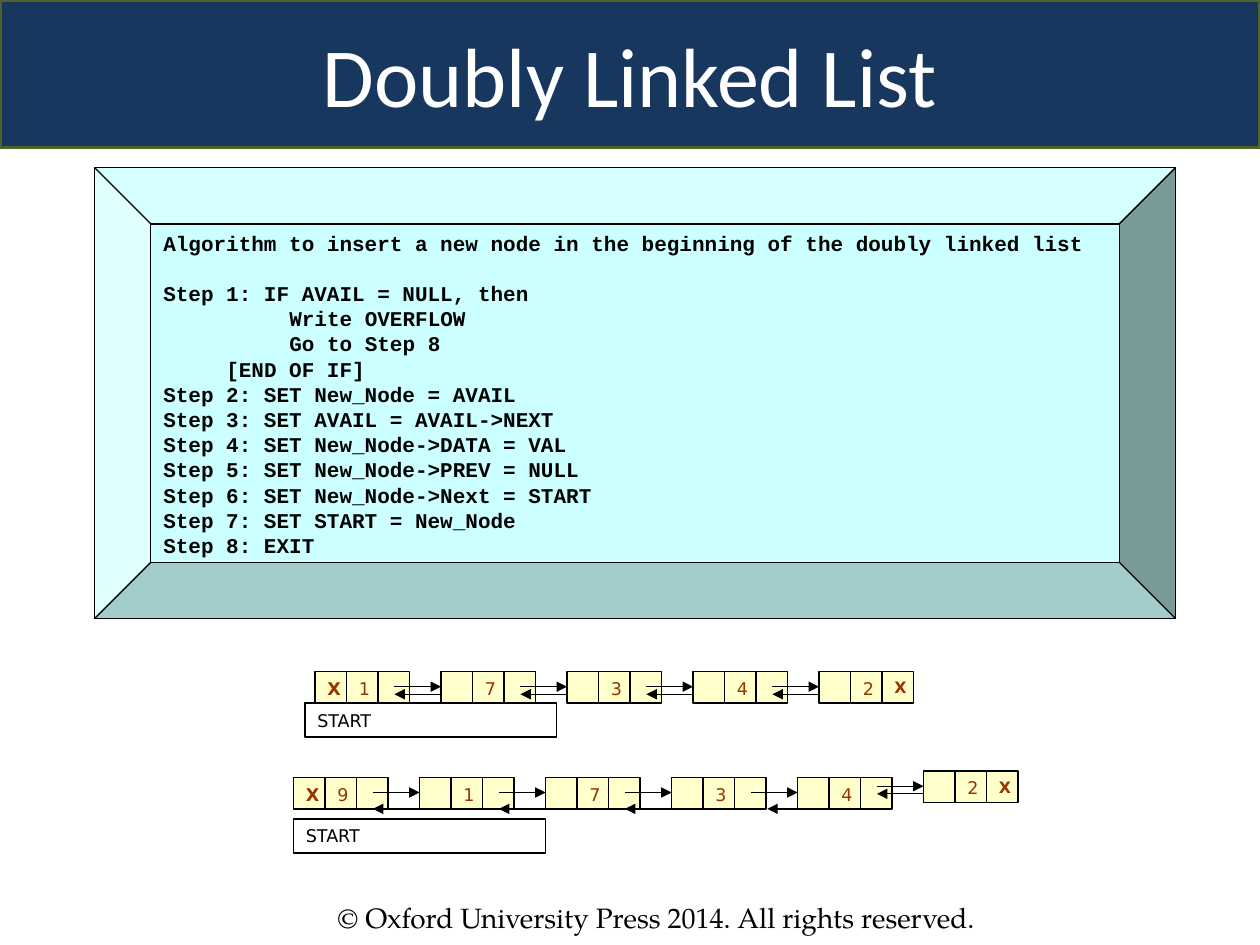
"""Build a slide on inserting a node at the start of a doubly linked list."""
from lxml import etree
from pptx import Presentation
from pptx import util as u
from pptx.dml.color import RGBColor
from pptx.enum import shapes, text
from pptx.oxml import ns

Inches, Pt = u.Inches, u.Pt
hex_color = RGBColor.from_string


def paint(shape, fill, line="000000", width=0.75):
    shape.shadow.inherit = False
    if fill:
        shape.fill.solid()
        shape.fill.fore_color.rgb = hex_color(fill)
    else:
        shape.fill.background()
    shape.line.color.rgb = hex_color(line)
    shape.line.width = Pt(width)


def write(shape, lines, color, font, anchor=text.MSO_ANCHOR.TOP, align=text.PP_ALIGN.LEFT):
    frame = shape.text_frame
    settings = {
        "word_wrap": True, "auto_size": text.MSO_AUTO_SIZE.NONE, "vertical_anchor": anchor,
        "margin_left": Inches(0.1), "margin_right": Inches(0.1),
        "margin_top": Inches(0.05), "margin_bottom": Inches(0.05),
    }
    for name, value in settings.items():
        setattr(frame, name, value)
    frame.text = "\n".join(lines)
    for para in frame.paragraphs:
        para.alignment = align
        for span in para.runs:
            span.font.color.rgb = hex_color(color)
            for name, value in font.items():
                setattr(span.font, name, value)


deck = Presentation()
deck.slide_width, deck.slide_height = Inches(10), Inches(7.5)
page = deck.slides.add_slide(deck.slide_layouts[5])

title = page.shapes.title
title.left, title.top, title.width, title.height = Inches(0), Inches(0), Inches(10), Inches(1.17)
paint(title, "17375E", "4F6228", 2)
write(title, ["Doubly Linked List"], "FFFFFF", {"size": Pt(48), "name": "Calibri"},
      text.MSO_ANCHOR.MIDDLE, text.PP_ALIGN.CENTER)

footer = page.shapes.add_textbox(Inches(2.58), Inches(7.1), Inches(5.92), Inches(0.37))
write(footer, ["© Oxford University Press 2014. All rights reserved."], "000000",
      {"size": Pt(16), "name": "TeX Gyre Pagella"})

algorithm = [
    "Algorithm to insert a new node in the beginning of the doubly linked list",
    "Step 1: IF AVAIL = NULL, then",
    "\t\tWrite OVERFLOW",
    "\t\tGo to Step 8",
    "\t[END OF IF]",
    "Step 2: SET New_Node = AVAIL",
    "Step 3: SET AVAIL = AVAIL->NEXT",
    "Step 4: SET New_Node->DATA = VAL",
    "Step 5: SET New_Node->PREV = NULL",
    "Step 6: SET New_Node->Next = START",
    "Step 7: SET START = New_Node",
    "Step 8: EXIT",
]
panel = page.shapes.add_shape(shapes.MSO_SHAPE.BEVEL, Inches(0.75), Inches(1.33),
                              Inches(8.58), Inches(3.58))
paint(panel, "CCFFFF")
write(panel, algorithm, "000000", {"size": Pt(12), "name": "Courier New", "bold": True})
panel.text_frame.paragraphs[1].space_before = Pt(14.4)

CELL = 0.25
before = [("1", 5.33, 0, 0), ("7", 5.33, 0.18, 0), ("3", 5.33, 0.18, 0),
          ("4", 5.33, 0.18, 0), ("2", 5.33, 0.18, 0)]
after = [("9", 6.17, 0, 0), ("1", 6.17, 0.25, 0), ("7", 6.17, 0.25, 0),
         ("3", 6.17, 0.25, 0), ("4", 6.17, 0.25, 0.13), ("2", 6.12, 0.18, 0)]

for start, nodes in ((2.5, before), (2.33, after)):
    group = page.shapes.add_group_shape()
    last = len(nodes) - 1
    arrows = []
    for index, (value, top, back_drop, back_shift) in enumerate(nodes):
        left = start + index
        labels = ["X" if index == 0 else "", value, "X" if index == last else ""]
        for column, label in enumerate(labels):
            cell = group.shapes.add_shape(shapes.MSO_SHAPE.RECTANGLE, Inches(left + column * CELL),
                                          Inches(top), Inches(CELL), Inches(CELL))
            paint(cell, "FFFFCC")
            if label:
                write(cell, [label], "993300", {"size": Pt(9 if column == 2 else 10),
                                                "name": "DejaVu Sans", "bold": label == "X"})
        if index:
            back = left + back_shift
            arrows.append((left - 0.37, left, top + 0.12))
            arrows.append((back, back - 0.37, top + back_drop))
    for begin, end, level in arrows:
        arrow = group.shapes.add_connector(shapes.MSO_CONNECTOR.STRAIGHT, Inches(begin),
                                           Inches(level), Inches(end), Inches(level))
        arrow.line.color.rgb = hex_color("000000")
        arrow.line.width = Pt(0.75)
        etree.SubElement(arrow.line._get_or_add_ln(), ns.qn("a:tailEnd"), type="triangle")
        etree.SubElement(arrow._element.spPr, ns.qn("a:effectLst"))

for left, top in ((2.42, 5.58), (2.33, 6.5)):
    pointer = page.shapes.add_shape(shapes.MSO_SHAPE.RECTANGLE, Inches(left), Inches(top),
                                    Inches(2), Inches(0.27))
    paint(pointer, None)
    write(pointer, ["START"], "000000", {"size": Pt(10), "name": "DejaVu Sans"},
          text.MSO_ANCHOR.MIDDLE)

deck.save("out.pptx")
